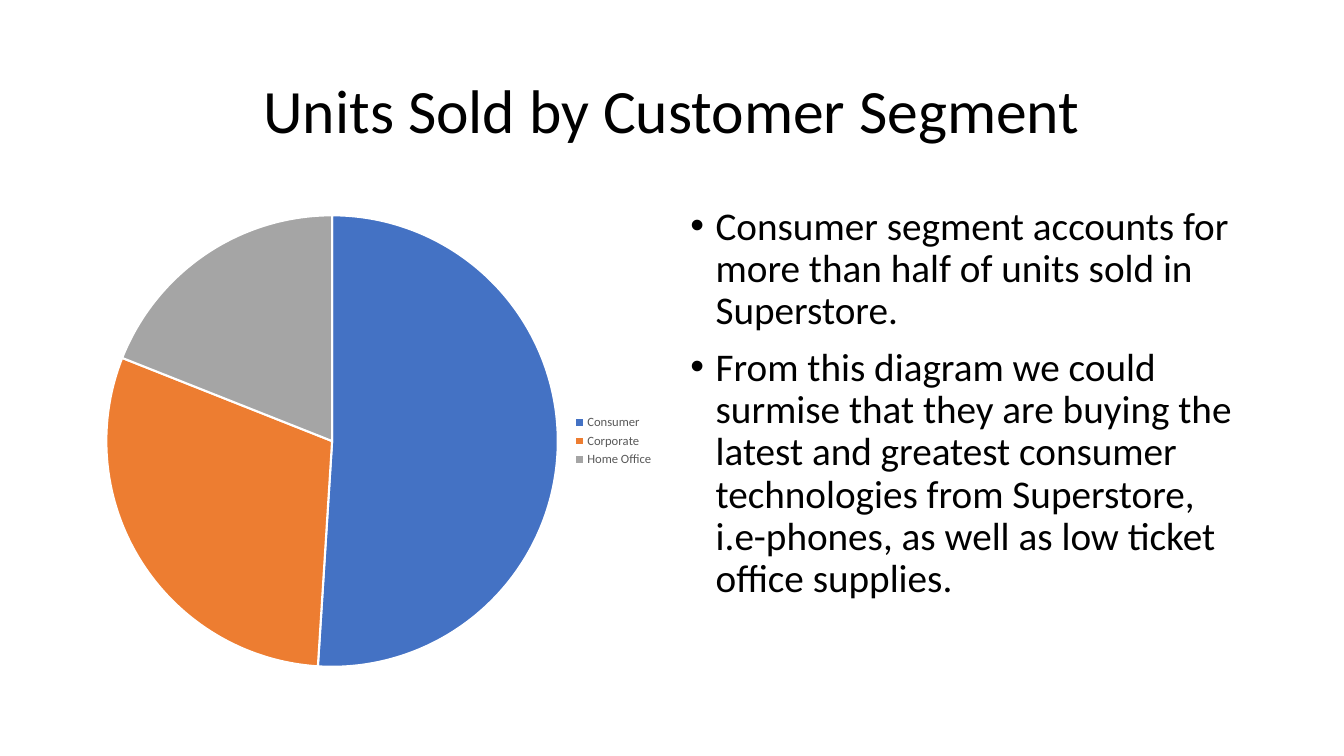
from lxml.etree import SubElement
from pptx import Presentation
from pptx.chart.data import CategoryChartData
from pptx.dml.color import RGBColor
from pptx.enum.chart import XL_CHART_TYPE, XL_LEGEND_POSITION
from pptx.enum.text import MSO_ANCHOR, PP_ALIGN
from pptx.oxml.ns import qn
from pptx.util import Cm, Pt

FONT = "Calibri"
SEGMENTS = {
    "Consumer": (51, "4472C4"),
    "Corporate": (30, "ED7D31"),
    "Home Office": (19, "A5A5A5"),
}
FINDINGS = [
    "Consumer segment accounts for more than half of units sold in Superstore.",
    "From this diagram we could surmise that they are buying the latest and "
    "greatest consumer technologies from Superstore, i.e-phones, as well as "
    "low ticket office supplies.",
]


def color(hex_code):
    """Return the colour for a hex string."""
    return RGBColor.from_string(hex_code)


def apply_format(target, values):
    """Set each attribute of the target from a dict."""
    for attribute, value in values.items():
        setattr(target, attribute, value)


def format_font(font, size, hex_code):
    """Give a font the slide's typeface, a size and a colour."""
    apply_format(font, {"name": FONT, "size": Pt(size), "bold": False})
    font.color.rgb = color(hex_code)


def add_heading(slide, box, wording):
    """Move the title into the box and format it."""
    heading = slide.shapes.title
    apply_format(heading, dict(zip(("left", "top", "width", "height"), box)))
    frame = heading.text_frame
    apply_format(frame, {"text": wording, "vertical_anchor": MSO_ANCHOR.MIDDLE})
    line = frame.paragraphs[0]
    apply_format(line, {"alignment": PP_ALIGN.CENTER, "line_spacing": 0.9})
    format_font(line.runs[0].font, 44, "000000")


def add_segment_pie(slide, box):
    """Draw the units by segment as a pie with a legend in the box."""
    units = CategoryChartData()
    units.categories = list(SEGMENTS)
    units.add_series("Series 1", [share for share, _ in SEGMENTS.values()])
    pie = slide.shapes.add_chart(XL_CHART_TYPE.PIE, *box, units).chart
    apply_format(pie, {"has_title": False, "has_legend": True})
    format_font(pie.font, 10, "000000")
    apply_format(pie.legend, {"position": XL_LEGEND_POSITION.RIGHT,
                              "include_in_layout": False})
    format_font(pie.legend.font, 9, "595959")
    plot = pie.plots[0]
    plot.vary_by_categories = True
    for index, (_, hex_code) in enumerate(SEGMENTS.values()):
        slice_format = plot.series[0].points[index].format
        slice_format.fill.solid()
        slice_format.fill.fore_color.rgb = color(hex_code)
        slice_format.line.color.rgb = color("FFFFFF")
        slice_format.line.width = Pt(1.5)


def add_findings(slide, box):
    """Write the findings as a bulleted list in the box."""
    frame = slide.shapes.add_textbox(*box).text_frame
    frame.word_wrap = True
    for index, wording in enumerate(FINDINGS):
        finding = frame.add_paragraph() if index else frame.paragraphs[0]
        apply_format(finding, {"text": wording, "line_spacing": 0.9,
                               "space_before": Pt(10)})
        format_font(finding.runs[0].font, 28, "000000")
        properties = finding._p.get_or_add_pPr()
        properties.set("marL", str(Cm(0.64)))
        properties.set("indent", str(-Cm(0.64)))
        SubElement(properties, qn("a:buFont"), typeface="Arial")
        SubElement(properties, qn("a:buChar"), char="•")


def main():
    """Build the slide and save it."""
    deck = Presentation()
    apply_format(deck, {"slide_width": Cm(33.87), "slide_height": Cm(19.05)})
    slide = deck.slides.add_slide(deck.slide_layouts[5])
    margin, top, gap = Cm(2.33), Cm(5.07), Cm(0.42)
    content_width = deck.slide_width - 2 * margin
    column, height = (content_width - gap) // 2, Cm(12.09)
    add_heading(slide, (margin, Cm(1.01), content_width, Cm(3.68)),
                "Units Sold by Customer Segment")
    add_segment_pie(slide, (margin, top, column, height))
    add_findings(slide, (margin + column + gap, top, column, height))
    deck.save("out.pptx")


if __name__ == "__main__":
    main()
